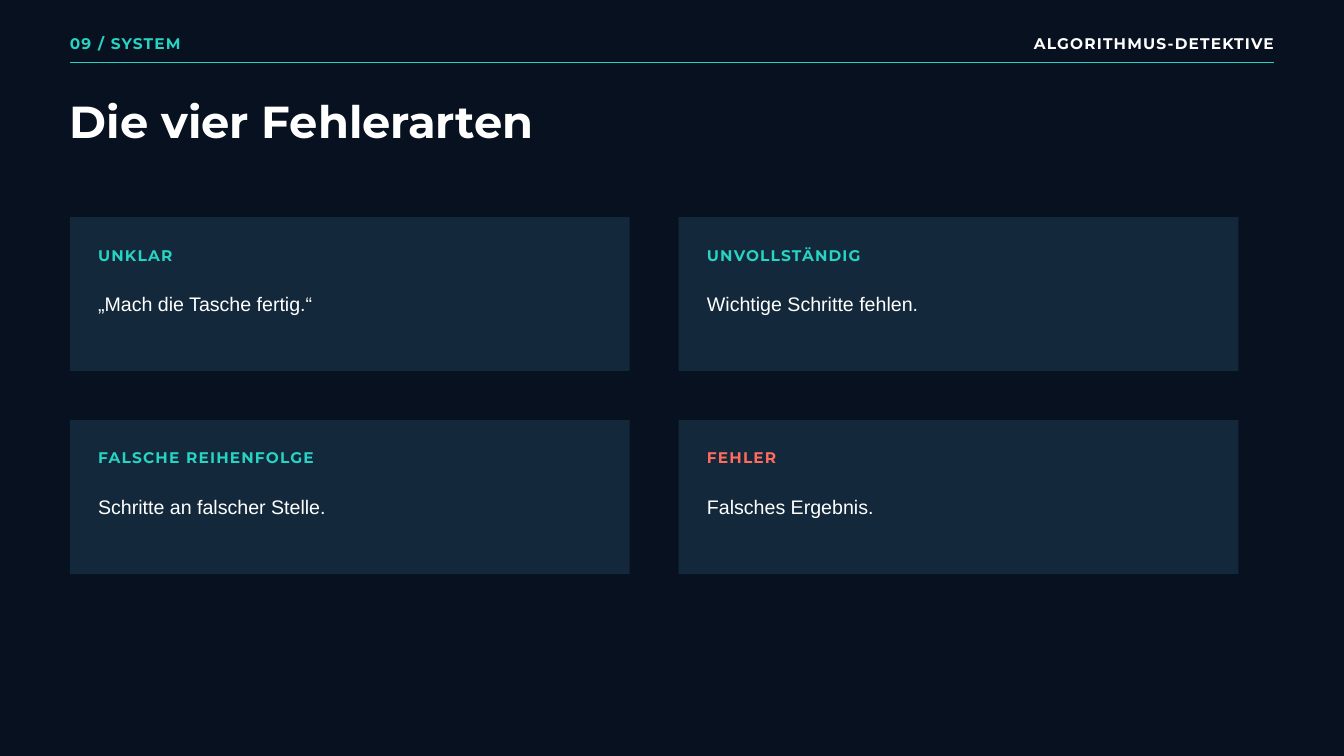
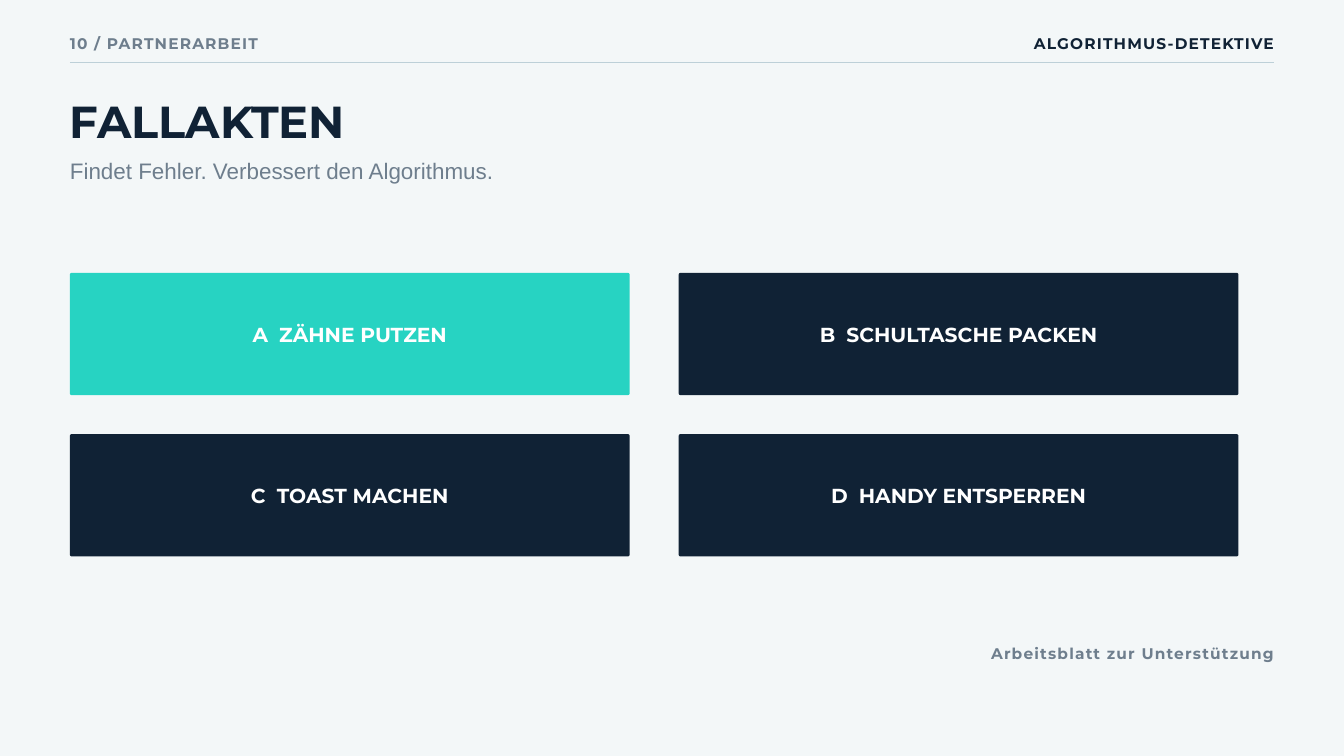
from collections import namedtuple

from lxml.etree import SubElement
from pptx import Presentation
from pptx.dml.color import RGBColor
from pptx.enum.shapes import MSO_CONNECTOR, MSO_SHAPE
from pptx.enum.text import MSO_ANCHOR, MSO_AUTO_SIZE, PP_ALIGN
from pptx.oxml.ns import qn
from pptx.util import Inches, Pt

Box = namedtuple("Box", "x y w h")
Style = namedtuple("Style", "face size lead bold track")
Theme = namedtuple("Theme", "back ink mark rule")

TEAL, NAVY, WHITE, GREY = "27D3C2", "102235", "FFFFFF", "6E7E8D"
PANEL, RED = "13283A", "FF6B5E"
DARK = Theme("07111F", WHITE, TEAL, TEAL)
LIGHT = Theme("F3F7F8", NAVY, GREY, "BDD0D8")

HEAD = Style("Montserrat", 48, 49, True, 0)
LABEL = Style("Montserrat", 16.5, 23.1, True, 1.3)
BODY = Style("Arial", 21, 28.4, False, 0)
LEAD = Style("Arial", 24, 31.2, False, 0)
BUTTON = Style("Montserrat", 21.75, 23.9, True, 0)

EDGE, WIDE = 1.04, 17.92
CARD_W, GAP_X = 8.33, 0.73


def put(item, values):
    for name, value in values.items():
        setattr(item, name, value)


def paint(color, code):
    color.rgb = RGBColor.from_string(code)


def fill(item, code):
    item.fill.solid()
    paint(item.fill.fore_color, code)


def lengths(box):
    return [Inches(side) for side in box]


def style_run(run, style, code, track):
    put(run.font, {"name": style.face, "size": Pt(style.size), "bold": style.bold})
    paint(run.font.color, code)
    if track:
        run.font._element.set("spc", str(round(track * 100)))


def write(shape, parts, style, code, align=PP_ALIGN.LEFT, anchor=MSO_ANCHOR.TOP, inset=0):
    frame = shape.text_frame
    put(frame, {"word_wrap": True, "auto_size": MSO_AUTO_SIZE.NONE, "vertical_anchor": anchor})
    put(frame, {f"margin_{side}": Inches(inset) for side in ("left", "top", "right", "bottom")})
    para = frame.paragraphs[0]
    put(para, {"alignment": align, "line_spacing": Pt(style.lead), "space_before": Pt(0)})
    for words, track in parts:
        run = para.add_run()
        run.text = words
        style_run(run, style, code, track)


def text(slide, box, words, style, code, align=PP_ALIGN.LEFT):
    shape = slide.shapes.add_textbox(*lengths(box))
    write(shape, [(words, style.track)], style, code, align)


def block(slide, kind, box, code):
    shape = slide.shapes.add_shape(kind, *lengths(box))
    shape.shadow.inherit = False
    fill(shape, code)
    shape.line.fill.background()
    return shape


def grid(top, height, gap):
    for index in range(4):
        row, col = divmod(index, 2)
        yield Box(EDGE + col * (CARD_W + GAP_X), top + row * (height + gap), CARD_W, height)


def header(slide, box, section, theme):
    text(slide, Box(box.x, box.y, 5, 0.31), section, LABEL, theme.mark)
    name = Box(box.x + box.w - 5, box.y, 5, 0.31)
    text(slide, name, "ALGORITHMUS-DETEKTIVE", LABEL, theme.ink, PP_ALIGN.RIGHT)
    y = box.y + box.h
    ends = lengths((box.x, y, box.x + box.w, y))
    rule = slide.shapes.add_connector(MSO_CONNECTOR.STRAIGHT, *ends)
    SubElement(rule._element.spPr, qn("a:effectLst"))
    rule.line.width = Pt(1.25)
    paint(rule.line.color, theme.rule)


def start(deck, section, title, theme):
    slide = deck.slides.add_slide(deck.slide_layouts[5])
    fill(slide.background, theme.back)
    header(slide, Box(EDGE, 0.46, WIDE, 0.47), section, theme)
    head = slide.shapes.title
    put(head, dict(zip(("left", "top", "width", "height"), lengths(Box(EDGE, 1.51, 12.5, 0.69)))))
    write(head, [(title, 0)], HEAD, theme.ink)
    return slide


def card(slide, box, label, body, code):
    block(slide, MSO_SHAPE.RECTANGLE, box, PANEL)
    x, w = box.x + 0.42, box.w - 1.04
    text(slide, Box(x, box.y + 0.38, w, 0.3), label, LABEL, code)
    text(slide, Box(x, box.y + 1.07, w, 0.37), body, BODY, WHITE)


def button(slide, box, letter, task, code):
    shape = block(slide, MSO_SHAPE.ROUNDED_RECTANGLE, box, code)
    shape.adjustments[0] = 0.015
    parts = [(letter + " ", 2.85), (task, 0)]
    write(shape, parts, BUTTON, WHITE, PP_ALIGN.CENTER, MSO_ANCHOR.MIDDLE, 0.06)
    shape.text_frame.margin_top = Inches(0.09)


def errors(deck):
    slide = start(deck, "09 / SYSTEM", "Die vier Fehlerarten", DARK)
    kinds = [
        ("UNKLAR", "„Mach die Tasche fertig.“", TEAL),
        ("UNVOLLSTÄNDIG", "Wichtige Schritte fehlen.", TEAL),
        ("FALSCHE REIHENFOLGE", "Schritte an falscher Stelle.", TEAL),
        ("FEHLER", "Falsches Ergebnis.", RED),
    ]
    for box, kind in zip(grid(3.23, 2.29, 0.73), kinds):
        card(slide, box, *kind)


def cases(deck):
    slide = start(deck, "10 / PARTNERARBEIT", "FALLAKTEN", LIGHT)
    lead = "Findet Fehler. Verbessert den Algorithmus."
    text(slide, Box(EDGE, 2.31, 11.46, 0.42), lead, LEAD, GREY)
    tasks = [
        ("A", "ZÄHNE PUTZEN", TEAL),
        ("B", "SCHULTASCHE PACKEN", NAVY),
        ("C", "TOAST MACHEN", NAVY),
        ("D", "HANDY ENTSPERREN", NAVY),
    ]
    for box, task in zip(grid(4.06, 1.82, 0.58), tasks):
        button(slide, box, *task)
    note = Box(EDGE + WIDE - 5.94, 9.54, 5.94, 0.31)
    text(slide, note, "Arbeitsblatt zur Unterstützung", LABEL, GREY, PP_ALIGN.RIGHT)


def main():
    deck = Presentation()
    put(deck, {"slide_width": Inches(20), "slide_height": Inches(11.25)})
    errors(deck)
    cases(deck)
    deck.save("out.pptx")


if __name__ == "__main__":
    main()
